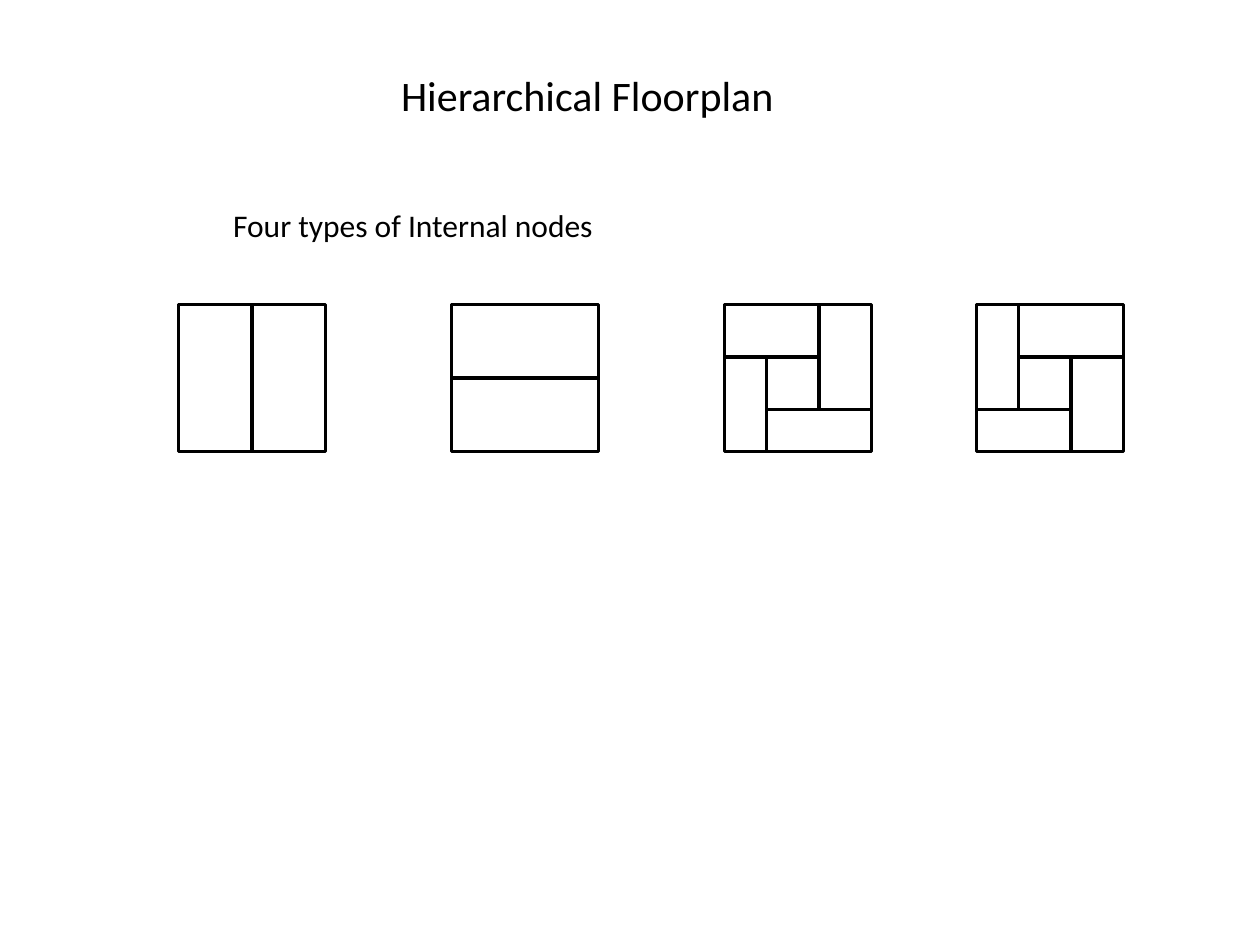
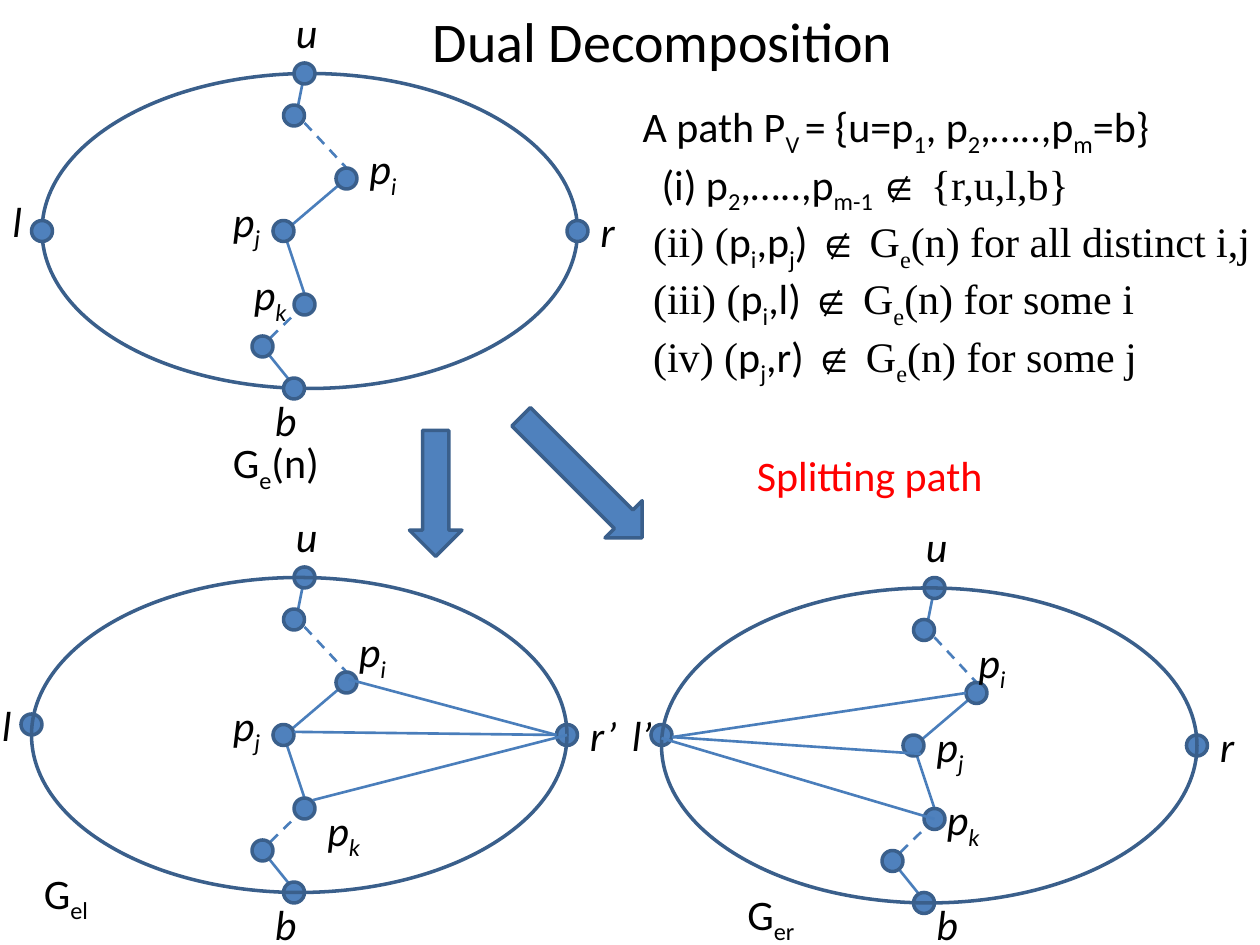
from lxml import etree
from pptx import Presentation
from pptx import util as u
from pptx.dml.color import RGBColor
from pptx.enum import dml, shapes, text
from pptx.oxml.ns import qn

PX = 7620  # EMU per px, 120 px to the inch
COLORS = {"ink": "000000", "paper": "FFFFFF", "node": "4F81BD",
          "outline": "3A5F8B", "edge": "4A7EBB", "accent": "FF0000"}
SANS, SERIF = "Calibri", "Times New Roman"
DOT = 20
TITLE_AND_CONTENT = 1


def color(name):
    return RGBColor.from_string(COLORS[name])


def px(*lengths):
    return [u.Emu(length * PX) for length in lengths]


class Deck:
    def __init__(self):
        self.presentation = Presentation()
        self.presentation.slide_width, self.presentation.slide_height = px(1200, 900)
        self.slide = None

    def new_slide(self):
        layout = self.presentation.slide_layouts[TITLE_AND_CONTENT]
        self.slide = self.presentation.slides.add_slide(layout)

    def add_runs(self, paragraph, marked, size, ink="ink", italic=False):
        """In marked text, '|' switches sans and serif, '_' toggles subscript."""
        paragraph.alignment = text.PP_ALIGN.LEFT
        for part, segment in enumerate(marked.split("|")):
            for level, words in enumerate(segment.split("_")):
                if not words:
                    continue
                run = paragraph.add_run()
                run.text = words
                run.font.name = SERIF if part % 2 else SANS
                run.font.size = u.Pt(size)
                run.font.italic = italic
                run.font.color.rgb = color(ink)
                if level % 2:
                    run._r.get_or_add_rPr().set("baseline", "-25000")

    def prepare(self, shape, box):
        """Place a text shape and return its frame, set to wrap from the top."""
        shape.left, shape.top, shape.width, shape.height = px(*box)
        frame = shape.text_frame
        frame.word_wrap = True
        frame.auto_size = text.MSO_AUTO_SIZE.NONE
        frame.vertical_anchor = text.MSO_ANCHOR.TOP
        return frame

    def title(self, words, box, size):
        frame = self.prepare(self.slide.shapes.title, box)
        self.add_runs(frame.paragraphs[0], words, size)

    def body(self, lines, box, size):
        """Fill the body placeholder with (indent, marked text) lines."""
        frame = self.prepare(self.slide.placeholders[1], box)
        frame.margin_right = 0
        for index, (indent, marked) in enumerate(lines):
            paragraph = frame.add_paragraph() if index else frame.paragraphs[0]
            paragraph.space_before = u.Pt(0)
            properties = paragraph._p.get_or_add_pPr()
            properties.set("marL", str(indent * PX))
            properties.set("indent", "0")
            etree.SubElement(properties, qn("a:buNone"))
            self.add_runs(paragraph, marked, size)

    def label(self, marked, x, y, width=70, ink="ink", italic=True):
        box = (x, y, width, 60)
        frame = self.prepare(self.slide.shapes.add_textbox(*px(*box)), box)
        self.add_runs(frame.paragraphs[0], marked, 24, ink, italic)

    def shape(self, kind, box, fill=None, line="outline", rotation=0):
        shape = self.slide.shapes.add_shape(kind, *px(*box))
        shape.shadow.inherit = False
        shape.rotation = rotation
        if fill:
            shape.fill.solid()
            shape.fill.fore_color.rgb = color(fill)
        else:
            shape.fill.background()
        shape.line.color.rgb = color(line)
        shape.line.width = u.Pt(2)

    def line(self, start, end, ink="edge", width=1.5, dashed=False):
        connector = self.slide.shapes.add_connector(
            shapes.MSO_CONNECTOR.STRAIGHT, *px(*start, *end))
        connector.line.color.rgb = color(ink)
        connector.line.width = u.Pt(width)
        if dashed:
            connector.line.dash_style = dml.MSO_LINE.DASH
        etree.SubElement(connector._element.spPr, qn("a:effectLst"))


PATH_DOTS = [(280, 60), (270, 100), (320, 160), (260, 210),
             (280, 280), (240, 320), (270, 360)]
# start, end, dashed
PATH_EDGES = [((290, 70), (280, 120), False), ((290, 117), (330, 160), True),
              ((263, 227), (330, 170), False), ((290, 280), (270, 220), False),
              ((245, 334), (290, 290), True), ((245, 324), (282, 370), False)]

WHOLE_GRAPH = {
    "origin": (0, 0), "ring": (40, 70), "ring_fill": "paper",
    "ends": [(30, 210), (540, 210)], "fan": [],
    "name": ("G_e_(n)", 210, 410, 170),
    "labels": [("u", 270, 0), ("r", 560, 190), ("b", 250, 370), ("l", 0, 180),
               ("p_i", 340, 130), ("p_j", 210, 180), ("p_k", 230, 250)],
}
LEFT_GRAPH = {
    "origin": (0, 480), "ring": (30, 70), "ring_fill": None,
    "ends": [(20, 200), (530, 210)],
    "fan": [((332, 167), (530, 220)), ((280, 217), (530, 220)),
            ((298, 282), (540, 220))],
    "name": ("G_el", 30, 340, 80),
    "labels": [("u", 270, 0), ("r’", 550, 190), ("b", 250, 370), ("l", -10, 180),
               ("p_i", 330, 110), ("p_j", 210, 180), ("p_k", 300, 280)],
}
RIGHT_GRAPH = {
    "origin": (600, 490), "ring": (30, 70), "ring_fill": None,
    "ends": [(20, 200), (530, 210)],
    "fan": [((320, 170), (40, 212)), ((277, 228), (40, 212)),
            ((290, 290), (30, 213))],
    "name": ("G_er", 100, 350, 80),
    "labels": [("u", 270, 0), ("r", 550, 190), ("b", 280, 360), ("l’", -10, 180),
               ("p_i", 320, 110), ("p_j", 280, 190), ("p_k", 290, 260)],
}


def draw_graph(deck, graph):
    def place(point):
        return tuple(a + b for a, b in zip(graph["origin"], point))

    def draw_ring():
        deck.shape(shapes.MSO_SHAPE.OVAL, (*place(graph["ring"]), 510, 300),
                   graph["ring_fill"])

    if graph["ring_fill"]:
        draw_ring()
    for start, end, dashed in PATH_EDGES:
        deck.line(place(start), place(end), dashed=dashed)
    for dot in PATH_DOTS + graph["ends"]:
        deck.shape(shapes.MSO_SHAPE.OVAL, (*place(dot), DOT, DOT), "node")
    if not graph["ring_fill"]:
        draw_ring()
    for start, end in graph["fan"]:
        deck.line(place(start), place(end))
    for marked, *corner in graph["labels"]:
        deck.label(marked, *place(corner))
    name, *corner, width = graph["name"]
    deck.label(name, *place(corner), width, italic=False)


def floorplan_slide(deck):
    deck.new_slide()
    deck.title("Hierarchical Floorplan", (370, 60, 410, 60), 24)
    deck.body([(0, "Four types of Internal nodes")], (210, 190, 560, 48), 18)
    side, top = 140, 290
    floorplans = {  # left edge: cuts inside the square
        170: [((70, 0), (70, side))],
        430: [((0, 70), (side, 70))],
        690: [((0, 50), (90, 50)), ((90, 0), (90, 100)),
              ((40, 50), (40, side)), ((40, 100), (side, 100))],
        930: [((0, 100), (90, 100)), ((40, 0), (40, 100)),
              ((90, 50), (90, side)), ((40, 50), (side, 50))],
    }
    for left, cuts in floorplans.items():
        deck.shape(shapes.MSO_SHAPE.RECTANGLE, (left, top, side, side), line="ink")
        for cut in cuts:
            start, end = [(left + x, top + y) for x, y in cut]
            deck.line(start, end, "ink", 2.25)


def decomposition_slide(deck):
    deck.new_slide()
    deck.title("Dual Decomposition", (400, 0, 752, 76), 32)
    deck.body([
        (0, "A path P_V _= {u=p_1_, p_2_,…..,p_m_=b}"),
        (18, "(i) p_2_,…..,p_m-1 _|∉ {r,u,l,b}"),
        (10, "|(ii) (|p_i_,p_j_) |∉ G_e_(n) for all distinct i,j"),
        (10, "|(iii) (|p_i_,l) |∉ G_e_(n) for some i"),
        (10, "|(iv) (|p_j_,r) |∉ G_e_(n) for some j"),
    ], (600, 90, 620, 332), 24)
    for graph in (WHOLE_GRAPH, RIGHT_GRAPH, LEFT_GRAPH):
        draw_graph(deck, graph)
    arrow = shapes.MSO_SHAPE.DOWN_ARROW
    deck.shape(arrow, (390, 410, 50, 120), "node")
    deck.shape(arrow, (529, 373, 50, 163), "node", rotation=315)
    deck.label("Splitting path", 709, 422, 330, "accent", italic=False)


def main():
    deck = Deck()
    floorplan_slide(deck)
    decomposition_slide(deck)
    deck.presentation.save("out.pptx")


if __name__ == "__main__":
    main()
